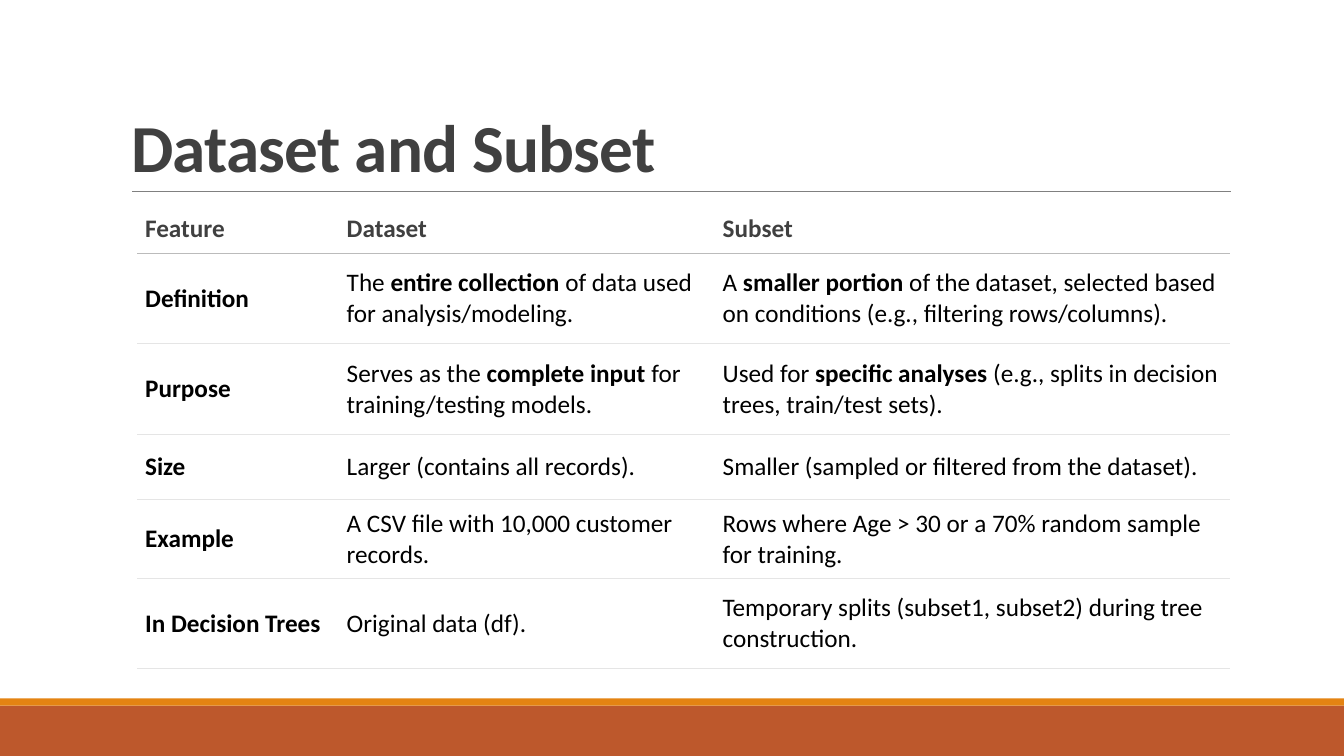
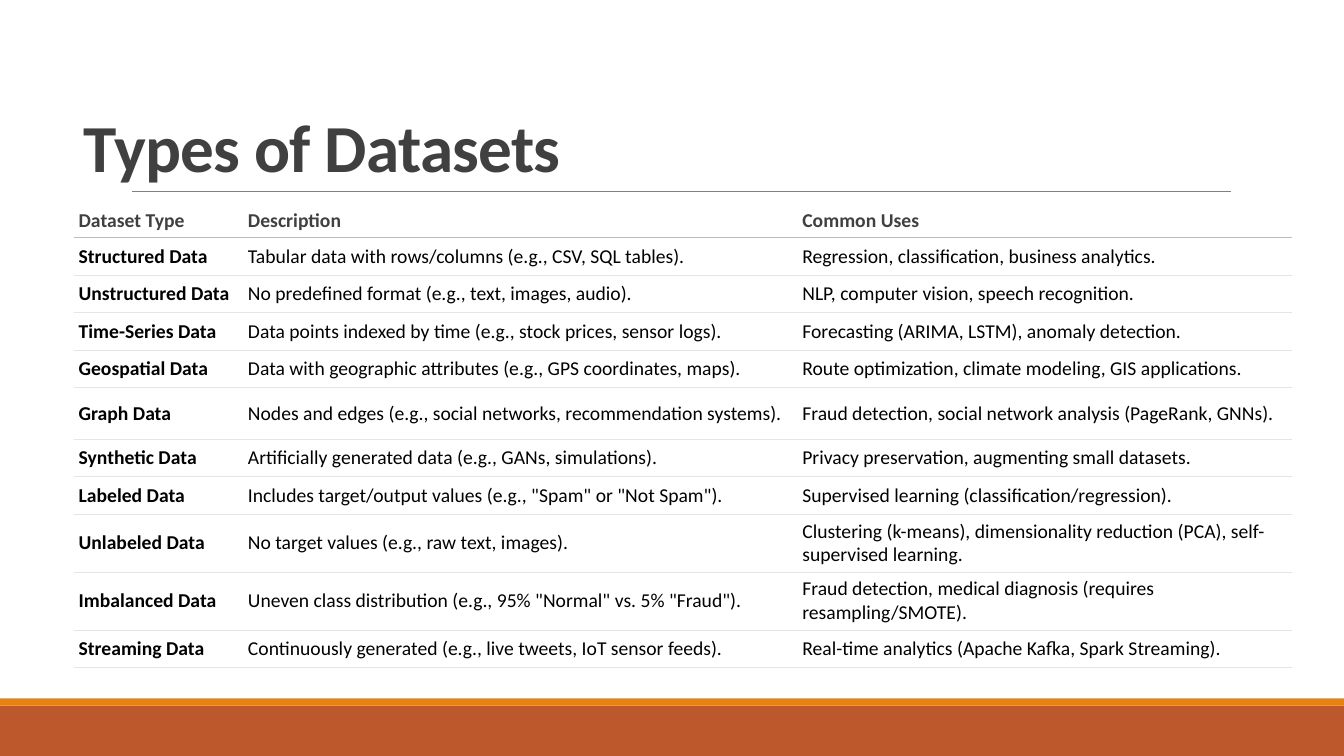
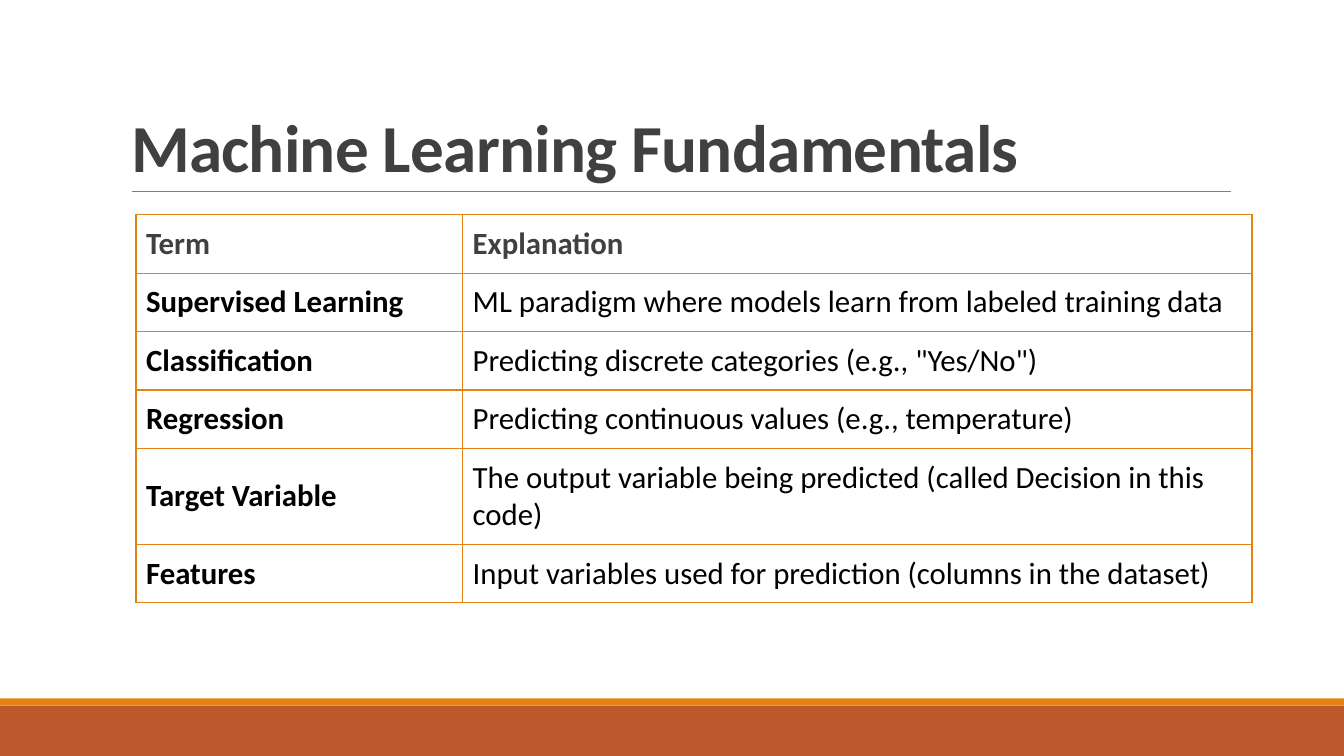
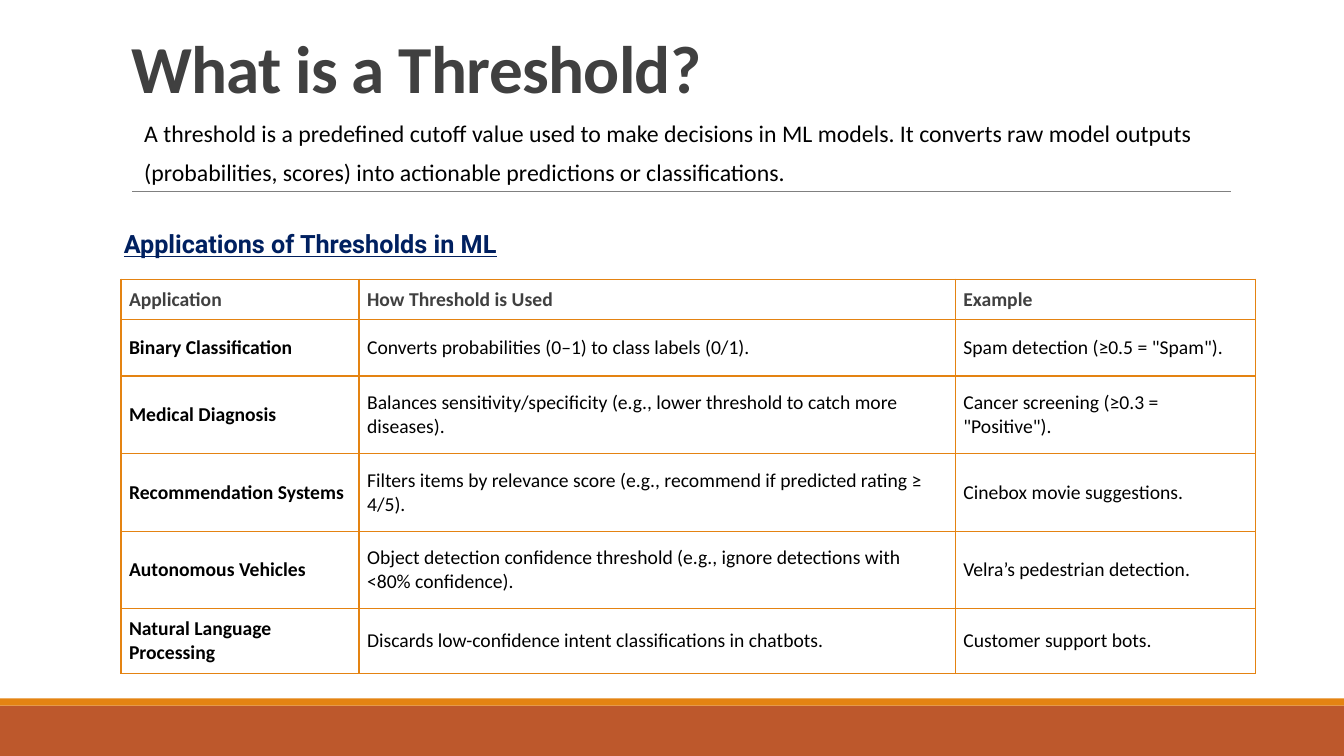
import pptx
import pptx.dml.color
import pptx.enum.shapes
import pptx.enum.text
import pptx.oxml
import pptx.oxml.ns
import pptx.util
import lxml.etree

UNIT = pptx.util.Inches(0.1)
COLS, ROWS = 133.33, 75
FONT = "Calibri"
WHITE, BLACK, DARK = "FFFFFF", "000000", "404040"
RUST, ORANGE, NAVY = "BD582C", "E48312", "002060"
RULE, HEAD_RULE, ROW_RULE = "808080", "BBBBBB", "E5E5E5"
TITLE_BOX = (12, 3.1, 110, 15.9)

DATASET_ROWS = [
    ("Feature", "Dataset", "Subset"),
    ("Definition",
     "The **entire collection** of data used for analysis/modeling.",
     "A **smaller portion** of the dataset, selected based on conditions (e.g., filtering rows/columns)."),
    ("Purpose",
     "Serves as the **complete input** for training/testing models.",
     "Used for **specific analyses** (e.g., splits in decision trees, train/test sets)."),
    ("Size", "Larger (contains all records).", "Smaller (sampled or filtered from the dataset)."),
    ("Example", "A CSV file with 10,000 customer records.",
     "Rows where Age > 30 or a 70% random sample for training."),
    ("In Decision Trees", "Original data (df).",
     "Temporary splits (subset1, subset2) during tree construction."),
]

TYPE_ROWS = [
    ("Dataset Type", "Description", "Common Uses"),
    ("Structured Data", "Tabular data with rows/columns (e.g., CSV, SQL tables).",
     "Regression, classification, business analytics."),
    ("Unstructured Data", "No predefined format (e.g., text, images, audio).",
     "NLP, computer vision, speech recognition."),
    ("Time-Series Data", "Data points indexed by time (e.g., stock prices, sensor logs).",
     "Forecasting (ARIMA, LSTM), anomaly detection."),
    ("Geospatial Data", "Data with geographic attributes (e.g., GPS coordinates, maps).",
     "Route optimization, climate modeling, GIS applications."),
    ("Graph Data", "Nodes and edges (e.g., social networks, recommendation systems).",
     "Fraud detection, social network analysis (PageRank, GNNs)."),
    ("Synthetic Data", "Artificially generated data (e.g., GANs, simulations).",
     "Privacy preservation, augmenting small datasets."),
    ("Labeled Data", 'Includes target/output values (e.g., "Spam" or "Not Spam").',
     "Supervised learning (classification/regression)."),
    ("Unlabeled Data", "No target values (e.g., raw text, images).",
     "Clustering (k-means), dimensionality reduction (PCA), self-supervised learning."),
    ("Imbalanced Data", 'Uneven class distribution (e.g., 95% "Normal" vs. 5% "Fraud").',
     "Fraud detection, medical diagnosis (requires resampling/SMOTE)."),
    ("Streaming Data", "Continuously generated (e.g., live tweets, IoT sensor feeds).",
     "Real-time analytics (Apache Kafka, Spark Streaming)."),
]

TERM_ROWS = [
    ("Term", "Explanation"),
    ("Supervised Learning", "ML paradigm where models learn from labeled training data"),
    ("Classification", 'Predicting discrete categories (e.g., "Yes/No")'),
    ("Regression", "Predicting continuous values (e.g., temperature)"),
    ("Target Variable", "The output variable being predicted (called Decision in this code)"),
    ("Features", "Input variables used for prediction (columns in the dataset)"),
]

THRESHOLD_ROWS = [
    ("Application", "How Threshold is Used", "Example"),
    ("Binary Classification", "Converts probabilities (0–1) to class labels (0/1).",
     'Spam detection (≥0.5 = "Spam").'),
    ("Medical Diagnosis",
     "Balances sensitivity/specificity (e.g., lower threshold to catch more diseases).",
     'Cancer screening (≥0.3 = "Positive").'),
    ("Recommendation Systems",
     "Filters items by relevance score (e.g., recommend if predicted rating ≥ 4/5).",
     "Cinebox movie suggestions."),
    ("Autonomous Vehicles",
     "Object detection confidence threshold (e.g., ignore detections with <80% confidence).",
     "Velra’s pedestrian detection."),
    ("Natural Language Processing", "Discards low-confidence intent classifications in chatbots.",
     "Customer support bots."),
]


def grid(n):
    return pptx.util.Emu(round(n * UNIT))


def rgb(color):
    return pptx.dml.color.RGBColor.from_string(color)


def place(sp, box):
    sp.left, sp.top, sp.width, sp.height = map(grid, box)


def style(r, size, color, bold=False, font=FONT):
    r.font.size = pptx.util.Pt(size)
    r.font.name = font
    r.font.bold = bold
    r.font.color.rgb = rgb(color)


def add_band(slide, box, color):
    sp = slide.shapes.add_shape(pptx.enum.shapes.MSO_SHAPE.RECTANGLE, *map(grid, box))
    sp.shadow.inherit = False
    sp.fill.solid()
    sp.fill.fore_color.rgb = rgb(color)
    sp.line.fill.background()
    return sp


def add_rule(slide, x1, x2, y):
    line = slide.shapes.add_connector(
        pptx.enum.shapes.MSO_CONNECTOR.STRAIGHT, grid(x1), grid(y), grid(x2), grid(y))
    line.line.color.rgb = rgb(RULE)
    line.line.width = pptx.util.Pt(0.5)
    lxml.etree.SubElement(line.element.spPr, pptx.oxml.ns.qn("a:effectLst"))
    return line


def build_master(prs, slide):
    parts = [
        add_band(slide, (0, 70, COLS, ROWS - 70), RUST),
        add_band(slide, (0, 69.3, COLS, 0.7), ORANGE),
        add_rule(slide, 13.1, 122.1, 19),
    ]
    tree = prs.slide_master.shapes.element
    for i, sp in enumerate(parts):
        tree.insert(2 + i, sp.element)


def set_title(slide, text, box=TITLE_BOX):
    sp = slide.shapes.title
    place(sp, box)
    tf = sp.text_frame
    tf.text = text
    tf.word_wrap = True
    tf.auto_size = pptx.enum.text.MSO_AUTO_SIZE.NONE
    tf.vertical_anchor = pptx.enum.text.MSO_ANCHOR.BOTTOM
    p = tf.paragraphs[0]
    p.alignment = pptx.enum.text.PP_ALIGN.LEFT
    p.line_spacing = 0.85
    r = p.runs[0]
    style(r, 48, DARK, True)
    r.font._element.set("spc", "-50")


def set_body(slide, text, box):
    sp = slide.placeholders[1]
    place(sp, box)
    tf = sp.text_frame
    tf.text = text
    tf.auto_size = pptx.enum.text.MSO_AUTO_SIZE.NONE
    tf.margin_left = tf.margin_right = 0
    p = tf.paragraphs[0]
    p.line_spacing = 1.4
    p.space_before = pptx.util.Pt(12)
    p.space_after = pptx.util.Pt(2)
    pPr = p._p.get_or_add_pPr()
    pPr.set("marL", str(grid(1)))
    pPr.set("indent", "0")
    lxml.etree.SubElement(pPr, pptx.oxml.ns.qn("a:buNone"))
    style(p.runs[0], 17, BLACK)


def add_heading(slide, text, box):
    tf = slide.shapes.add_textbox(*map(grid, box)).text_frame
    tf.text = text
    tf.word_wrap = True
    p = tf.paragraphs[0]
    p.space_before = pptx.util.Pt(13.7)
    p.space_after = pptx.util.Pt(10.3)
    r = p.runs[0]
    style(r, 18, NAVY, True, "Roboto")
    r.font.underline = True


def set_borders(cell, sides):
    tcPr = cell._tc.get_or_add_tcPr()
    for i, side in enumerate("LRTB"):
        color, width = sides.get(side, (None, 0))
        fill = f'<a:solidFill><a:srgbClr val="{color}"/></a:solidFill>' if color else "<a:noFill/>"
        tcPr.insert(i, pptx.oxml.parse_xml(
            f'<a:ln{side} {pptx.oxml.ns.nsdecls("a")} w="{pptx.util.Pt(width)}">{fill}</a:ln{side}>'))


def open_borders(row):
    head, inner = (HEAD_RULE, 0.75), (ROW_RULE, 0.75)
    if row == 0:
        return {"B": head}
    return {"T": head if row == 1 else inner, "B": inner}


def boxed_borders(row):
    return {side: (ORANGE, 1) for side in "LRTB"}


def fill_cell(cell, text, size, color, bold, inset):
    cell.vertical_anchor = pptx.enum.text.MSO_ANCHOR.MIDDLE
    cell.margin_left = cell.margin_right = cell.margin_top = cell.margin_bottom = grid(inset)
    p = cell.text_frame.paragraphs[0]
    for i, part in enumerate(text.split("**")):
        r = p.add_run()
        r.text = part
        style(r, size, color, bold or i % 2 == 1)


def add_grid_table(slide, rows, box, widths, heights, size, inset, borders, fill=None):
    frame = slide.shapes.add_table(len(rows), len(widths), *map(grid, box))
    table = frame.table
    table.first_row = table.horz_banding = False
    for col, share in zip(table.columns, widths):
        col.width = grid(box[2] * share / sum(widths))
    for row, share in zip(table.rows, heights):
        row.height = grid(box[3] * share / sum(heights))
    for i, texts in enumerate(rows):
        for j, text in enumerate(texts):
            cell = table.cell(i, j)
            if fill:
                cell.fill.solid()
                cell.fill.fore_color.rgb = rgb(fill)
            else:
                cell.fill.background()
            set_borders(cell, borders(i))
            fill_cell(cell, text, size, BLACK if i else DARK, i == 0 or j == 0, inset)


def main():
    prs = pptx.Presentation()
    prs.slide_width, prs.slide_height = grid(COLS), grid(ROWS)
    title_only, title_body = prs.slide_layouts[5], prs.slide_layouts[1]

    s = prs.slides.add_slide(title_only)
    build_master(prs, s)
    set_title(s, "Dataset and Subset")
    add_grid_table(s, DATASET_ROWS, (13.6, 20.4, 108.4, 45.9), (2, 3.73, 5.11),
                   (0.47, 0.9, 0.9, 0.65, 0.78, 0.89), 18, 0.8, open_borders, WHITE)

    s = prs.slides.add_slide(title_only)
    set_title(s, "Types of Datasets", (7.3, *TITLE_BOX[1:]))
    add_grid_table(s, TYPE_ROWS, (7.3, 20.2, 120.9, 46), (1.68, 5.5, 4.91),
                   (0.33, *[0.37] * 4, 0.51, 0.37, 0.37, 0.57, 0.57, 0.37),
                   14, 0.5, open_borders, WHITE)

    s = prs.slides.add_slide(title_only)
    set_title(s, "Machine Learning Fundamentals")
    add_grid_table(s, TERM_ROWS, (13.5, 21.3, 110.7, 38.5), (3.24, 7.83),
                   (*[0.58] * 4, 0.95, 0.58), 22, 1, boxed_borders)

    s = prs.slides.add_slide(title_body)
    set_title(s, "What is a Threshold?", (*TITLE_BOX[:3], 8))
    set_body(s, "A threshold is a predefined cutoff value used to make decisions in ML models. "
                "It converts raw model outputs (probabilities, scores) into actionable "
                "predictions or classifications.", (13.3, 10.1, 110, 9.2))
    add_grid_table(s, THRESHOLD_ROWS, (12, 27.7, 112.6, 39.1), (2.36, 5.91, 2.98),
                   (0.4, 0.56, *[0.77] * 3, 0.64), 14, 0.8, boxed_borders)
    add_heading(s, "Applications of Thresholds in ML", (11.3, 22.2, 66.7, 4))

    prs.save("out.pptx")


if __name__ == "__main__":
    main()
